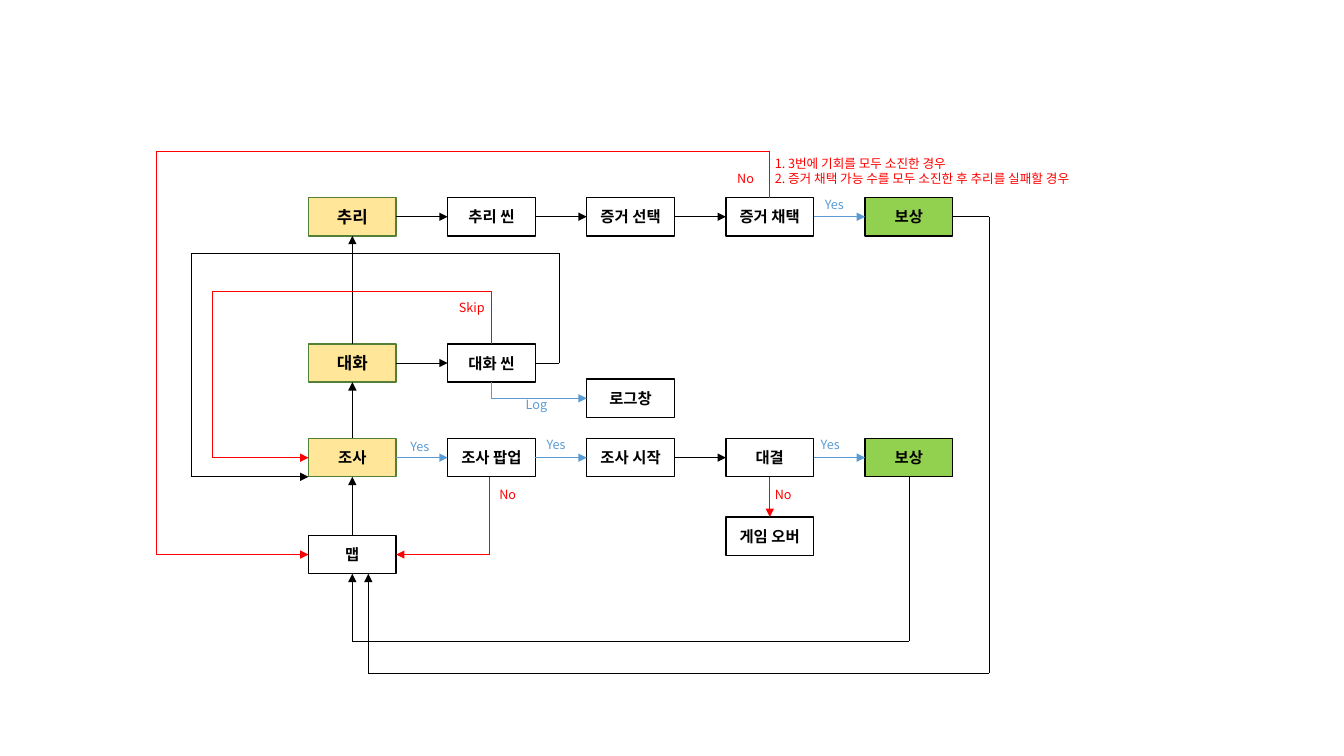
from dataclasses import dataclass
from itertools import pairwise

from lxml import etree
from pptx import Presentation
from pptx import util as u
from pptx.dml import color as dml
from pptx.enum import shapes, text
from pptx.oxml import ns


@dataclass(frozen=True)
class Theme:
    font: str = "Noto Sans CJK KR"
    black: str = "000000"
    white: str = "FFFFFF"
    red: str = "FF0000"
    blue: str = "5B9BD5"
    stage_fill: str = "FFE699"
    stage_line: str = "538035"
    reward_fill: str = "92D050"
    stage_size: int = 12
    node_size: int = 11
    label_size: int = 9
    border: float = 1
    arrow: float = 0.5


@dataclass(frozen=True)
class Box:
    """Grid whose rows are one node high; lengths are in inches."""
    left: float
    top: float
    column: float = 1.38
    row: float = 0.38

    def at(self, column, row):
        return (u.Inches(self.left + column * self.column),
                u.Inches(self.top + row * self.row))

    def size(self, columns, rows):
        return u.Inches(columns * self.column), u.Inches(rows * self.row)

    def down(self, rows):
        return Box(self.left, self.top + rows * self.row, self.column, self.row)


THEME = Theme()
NODE_WIDTH = 0.63                      # in columns
MIDDLE = NODE_WIDTH / 2
TOP, LEFT, BOTTOM, RIGHT = range(4)    # connection sites of a rectangle
DEDUCTION, DIALOGUE, INVESTIGATION, MAP = 0, 3.82, 6.29, 8.82   # rows


def rgb(value):
    return dml.RGBColor.from_string(value)


def write(shape, content, size=THEME.label_size, color=THEME.black, bold=False,
          align=text.PP_ALIGN.LEFT, anchor=text.MSO_ANCHOR.TOP):
    frame = shape.text_frame
    frame.word_wrap = True
    frame.vertical_anchor = anchor
    frame.text = content
    for paragraph in frame.paragraphs:
        paragraph.alignment = align
        for run in paragraph.runs:
            run.font.name = THEME.font
            run.font.size = u.Pt(size)
            run.font.bold = bold
            run.font.color.rgb = rgb(color)
            etree.SubElement(run.font._element, ns.qn("a:ea"), typeface=THEME.font)


def add_node(slide, box, column, row, content, fill=THEME.white,
             line=THEME.black, size=THEME.node_size):
    shape = slide.shapes.add_shape(shapes.MSO_SHAPE.RECTANGLE,
                                   *box.at(column, row), *box.size(NODE_WIDTH, 1))
    shape.shadow.inherit = False
    shape.fill.solid()
    shape.fill.fore_color.rgb = rgb(fill)
    shape.line.color.rgb = rgb(line)
    shape.line.width = u.Pt(THEME.border)
    write(shape, content, size=size, bold=True, align=text.PP_ALIGN.CENTER,
          anchor=text.MSO_ANCHOR.MIDDLE)
    return shape


def add_stage(slide, box, content, size=THEME.stage_size):
    return add_node(slide, box, 0, 0, content, fill=THEME.stage_fill,
                    line=THEME.stage_line, size=size)


def add_label(slide, box, column, row, content, color, width=0.34, height=0.66):
    shape = slide.shapes.add_textbox(*box.at(column, row), *box.size(width, height))
    write(shape, content, color=color)


def add_line(slide, start, end, color=THEME.black, arrow=True):
    connector = slide.shapes.add_connector(shapes.MSO_CONNECTOR.STRAIGHT, *start, *end)
    connector.line.color.rgb = rgb(color)
    connector.line.width = u.Pt(THEME.arrow)
    properties = connector._element.spPr
    if arrow:
        etree.SubElement(properties.find(ns.qn("a:ln")), ns.qn("a:tailEnd"), type="triangle")
    etree.SubElement(properties, ns.qn("a:effectLst"))
    return connector


def link(slide, source, target, color=THEME.black, exit_site=RIGHT, entry_site=LEFT):
    connector = add_line(slide, (0, 0), (0, 0), color)
    connector.begin_connect(source, exit_site)
    connector.end_connect(target, entry_site)


def route(slide, box, points, color=THEME.black):
    """Draw a polyline through grid points, with an arrowhead on its last leg."""
    legs = list(pairwise(points))
    for index, (start, end) in enumerate(legs, 1):
        add_line(slide, box.at(*start), box.at(*end), color, arrow=index == len(legs))


def link_row(slide, nodes, colors):
    for (source, target), color in zip(pairwise(nodes), colors):
        link(slide, source, target, color)


def deduction_region(slide, box):
    stage = add_stage(slide, box, "추리")
    steps = [add_node(slide, box, column, 0, content)
             for column, content in enumerate(("추리 씬", "증거 선택", "증거 채택"), 1)]
    reward = add_node(slide, box, 4, 0, "보상", fill=THEME.reward_fill)
    link_row(slide, [stage, *steps, reward], [THEME.black] * 3 + [THEME.blue])
    add_label(slide, box, 3.64, -0.16, "Yes", THEME.blue)
    add_label(slide, box, 3.01, -0.82, "No", THEME.red)
    add_label(slide, box, 3.28, -1.21,
              "1. 3번에 기회를 모두 소진한 경우\n"
              "2. 증거 채택 가능 수를 모두 소진한 후 추리를 실패할 경우",
              THEME.red, width=2.55, height=1.05)
    return stage


def dialogue_region(slide, box):
    stage = add_stage(slide, box, "대화")
    scene = add_node(slide, box, 1, 0, "대화 씬")
    add_node(slide, box, 2, 0.92, "로그창")
    link(slide, stage, scene)
    scene_middle = 1 + MIDDLE
    route(slide, box, [(scene_middle, 1), (scene_middle, 1.42), (2, 1.42)], THEME.blue)
    add_label(slide, box, 1.01, -1.29, "Skip", THEME.red)
    add_label(slide, box, 1.49, 1.26, "Log", THEME.blue)
    return stage


def investigation_region(slide, box):
    stage = add_stage(slide, box, "조사", size=THEME.node_size)
    steps = [add_node(slide, box, column, 0, content)
             for column, content in enumerate(("조사 팝업", "조사 시작", "대결"), 1)]
    reward = add_node(slide, box, 4, 0, "보상", fill=THEME.reward_fill)
    game_over = add_node(slide, box, 3, 2.05, "게임 오버")
    link_row(slide, [stage, *steps, reward],
             [THEME.blue, THEME.blue, THEME.black, THEME.blue])
    link(slide, steps[-1], game_over, THEME.red, BOTTOM, TOP)
    for column, row in ((0.66, -0.13), (1.64, -0.18), (3.61, -0.18)):
        add_label(slide, box, column, row, "Yes", THEME.blue)
    for column in (1.3, 3.28):
        add_label(slide, box, column, 1.13, "No", THEME.red)
    return stage


def map_region(slide, box):
    return add_node(slide, box, 0, 0, "맵")


def return_routes(slide, box):
    map_middle, map_bottom = MAP + 0.5, MAP + 1
    # Failed deduction, skipped dialogue and declined investigation
    route(slide, box, [(3 + MIDDLE, 0), (3 + MIDDLE, -1.21), (-1.09, -1.21),
                       (-1.09, map_middle), (0, map_middle)], THEME.red)
    route(slide, box, [(1 + MIDDLE, DIALOGUE), (1 + MIDDLE, 2.45), (-0.69, 2.45),
                       (-0.69, INVESTIGATION + 0.5), (0, INVESTIGATION + 0.5)], THEME.red)
    route(slide, box, [(1.3, INVESTIGATION + 1), (1.3, map_middle),
                       (NODE_WIDTH, map_middle)], THEME.red)
    # Finished dialogue back to investigation
    route(slide, box, [(1 + NODE_WIDTH, DIALOGUE + 0.5), (1.8, DIALOGUE + 0.5),
                       (1.8, 1.45), (-0.84, 1.45),
                       (-0.84, INVESTIGATION + 1), (0, INVESTIGATION + 1)])
    # Rewards back to the map
    route(slide, box, [(4 + MIDDLE, INVESTIGATION + 1), (4 + MIDDLE, 11.58),
                       (MIDDLE, 11.58), (MIDDLE, map_bottom)])
    route(slide, box, [(4 + NODE_WIDTH, 0.5), (4.89, 0.5), (4.89, 12.42),
                       (0.43, 12.42), (0.43, map_bottom)])


def flowchart_slide(presentation, box):
    slide = presentation.slides.add_slide(presentation.slide_layouts[6])
    regions = ((map_region, MAP), (investigation_region, INVESTIGATION),
               (dialogue_region, DIALOGUE), (deduction_region, DEDUCTION))
    stages = [region(slide, box.down(row)) for region, row in regions]
    for lower, upper in pairwise(stages):
        link(slide, lower, upper, exit_site=TOP, entry_site=BOTTOM)
    return_routes(slide, box)


presentation = Presentation()
presentation.slide_width = u.Inches(13.33)
presentation.slide_height = u.Inches(7.5)
flowchart_slide(presentation, Box(left=3.06, top=1.96))
presentation.save("out.pptx")
